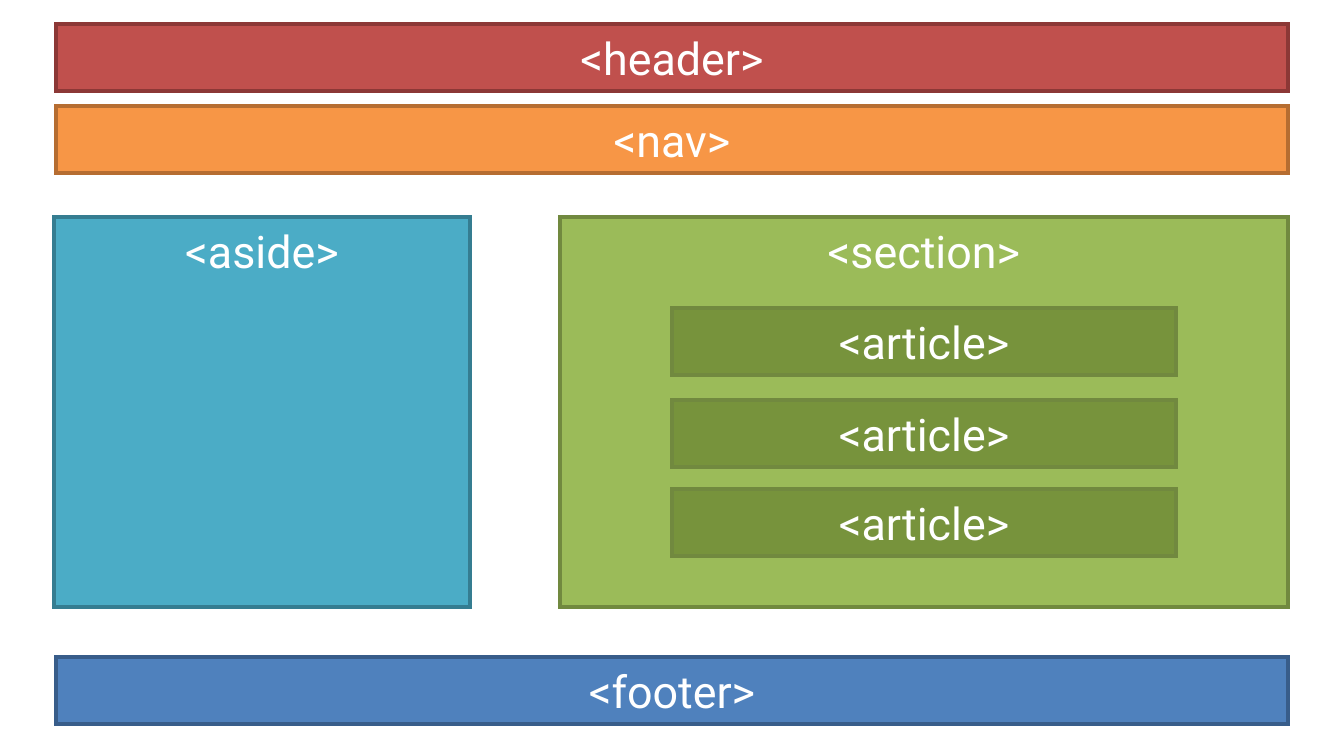
import lxml.etree
import pptx
import pptx.dml.color
import pptx.enum.shapes
import pptx.enum.text
import pptx.oxml.ns
import pptx.util

SCALE = 914400 / 134.4


def px(length):
    return pptx.util.Emu(round(length * SCALE))


def rgb(value):
    return pptx.dml.color.RGBColor.from_string(value)


class Layout:
    """Draws labelled page regions in one style on the current slide."""

    font = "Roboto"
    size = 24
    text_color = "FFFFFF"
    line_width = 2

    def __init__(self, slide):
        self.slide = slide

    def region(self, tag, left, top, width, height, fill, line):
        sp = self.slide.shapes.add_shape(
            pptx.enum.shapes.MSO_SHAPE.RECTANGLE,
            px(left), px(top), px(width), px(height))
        sp.shadow.inherit = False
        sp.fill.solid()
        sp.fill.fore_color.rgb = rgb(fill)
        sp.line.color.rgb = rgb(line)
        sp.line.width = pptx.util.Pt(self.line_width)
        ln = sp.element.spPr.find(pptx.oxml.ns.qn("a:ln"))
        lxml.etree.SubElement(ln, pptx.oxml.ns.qn("a:miter"), lim="800000")
        tf = sp.text_frame
        tf.word_wrap = True
        tf.vertical_anchor = pptx.enum.text.MSO_ANCHOR.TOP
        tf.text = f"<{tag}>"
        p = tf.paragraphs[0]
        p.alignment = pptx.enum.text.PP_ALIGN.CENTER
        r = p.runs[0]
        r.font.name = self.font
        r.font.size = pptx.util.Pt(self.size)
        r.font.color.rgb = rgb(self.text_color)


prs = pptx.Presentation()
prs.slide_width = px(1344)
prs.slide_height = px(756)
s = prs.slides.add_slide(prs.slide_layouts[6])
page = Layout(s)

BAR_HEIGHT = 67
BODY_TOP, BODY_HEIGHT = 217, 390

for tag, top, fill, line in [
    ("header", 24, "C0504D", "8C3836"),
    ("nav", 106, "F79646", "B66D31"),
    ("footer", 657, "4F81BD", "385D8A"),
]:
    page.region(tag, 56, top, 1232, BAR_HEIGHT, fill, line)

page.region("aside", 54, BODY_TOP, 416, BODY_HEIGHT, "4BACC6", "357D91")
page.region("section", 560, BODY_TOP, 728, BODY_HEIGHT, "9BBB59", "71893F")

for top in (308, 400, 489):
    page.region("article", 672, top, 504, BAR_HEIGHT, "77933C", "71893F")

prs.save("out.pptx")
